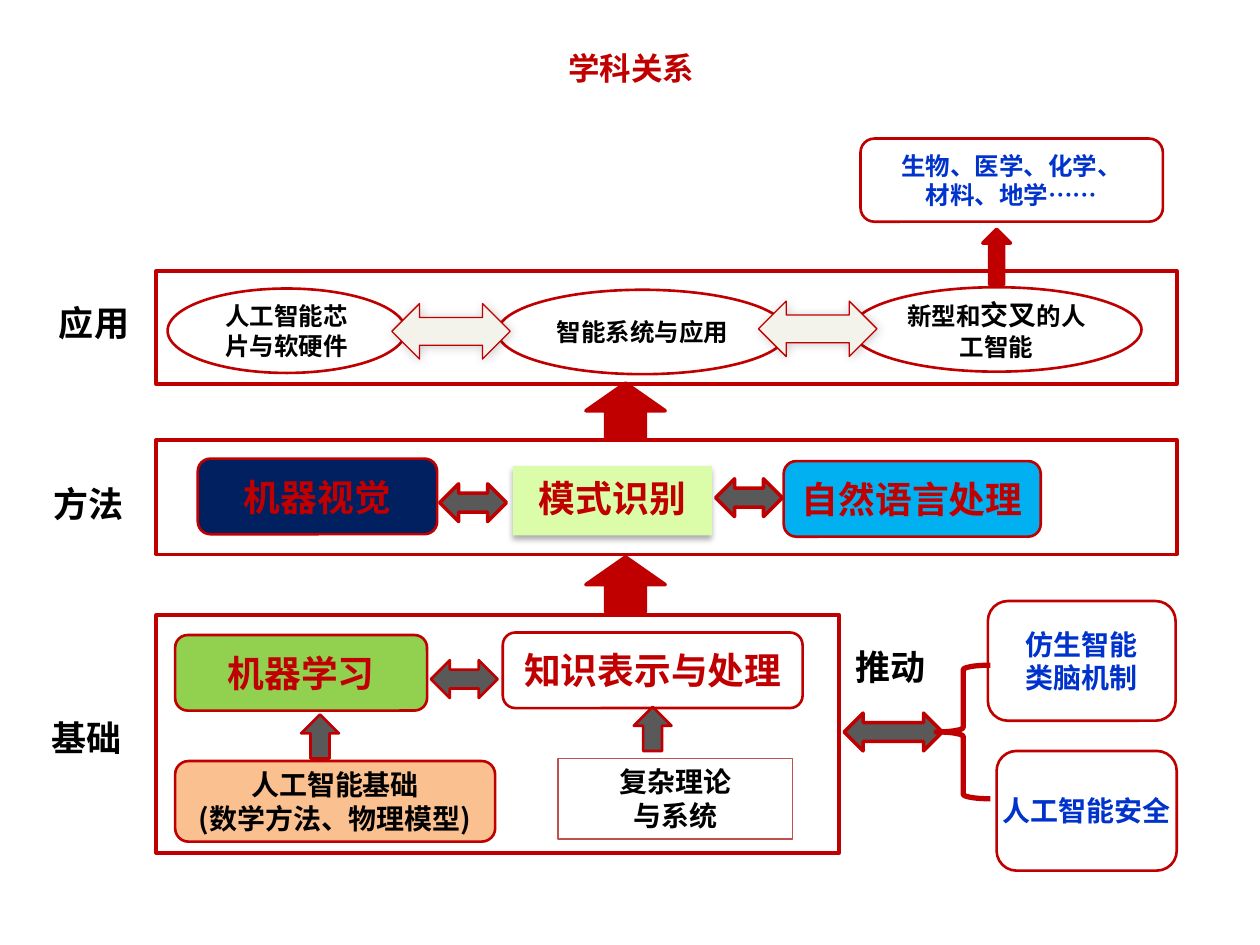
from lxml import etree
from pptx import Presentation
from pptx.dml.color import RGBColor
from pptx.enum.shapes import MSO_SHAPE
from pptx.enum.text import MSO_ANCHOR, MSO_AUTO_SIZE, PP_ALIGN
from pptx.oxml.ns import qn
from pptx.util import Inches, Pt

RECT, ROUND, OVAL = MSO_SHAPE.RECTANGLE, MSO_SHAPE.ROUNDED_RECTANGLE, MSO_SHAPE.OVAL
UP, BOTH, BRACE = MSO_SHAPE.UP_ARROW, MSO_SHAPE.LEFT_RIGHT_ARROW, MSO_SHAPE.LEFT_BRACE
LEFT, CENTER = PP_ALIGN.LEFT, PP_ALIGN.CENTER
TOP, MIDDLE = MSO_ANCHOR.TOP, MSO_ANCHOR.MIDDLE
FIT = MSO_AUTO_SIZE.SHAPE_TO_FIT_TEXT

RED = RGBColor(0xC0, 0x00, 0x00)
SOFT_RED = RGBColor(0xC0, 0x50, 0x4D)
BLACK = RGBColor(0x00, 0x00, 0x00)
BLUE = RGBColor(0x00, 0x33, 0xCC)
NAVY = RGBColor(0x00, 0x20, 0x60)
SKY = RGBColor(0x00, 0xB0, 0xF0)
GREEN = RGBColor(0x92, 0xD0, 0x50)
LIME = RGBColor(0xDB, 0xFD, 0xAA)
ORANGE = RGBColor(0xFA, 0xC0, 0x90)
GRAY = RGBColor(0x59, 0x59, 0x59)
CREAM = RGBColor(0xF4, 0xF3, 0xEB)

SANS, SERIF = "Noto Sans CJK SC", "Times New Roman"
TIGHT = (0.1, 0, 0.1, 0)
DEFAULT_INSETS = (0.1, 0.05, 0.1, 0.05)


def write(sp, text, size=16, color=BLACK, font=SANS, align=CENTER, anchor=MIDDLE,
          insets=DEFAULT_INSETS, wrap=True, spacing=None, large=None):
    """Fill a shape with bold text, one paragraph a line; large is a 16 pt phrase."""
    tf = sp.text_frame
    tf.word_wrap, tf.vertical_anchor = wrap, anchor
    tf.margin_left, tf.margin_top, tf.margin_right, tf.margin_bottom = map(Inches, insets)
    for i, line in enumerate(text.split("\n")):
        p = tf.add_paragraph() if i else tf.paragraphs[0]
        p.alignment = align
        if spacing:
            p.line_spacing = spacing
        for part in (line.partition(large) if large else [line]):
            r = p.add_run()
            r.text = part
            r.font.size = Pt(16 if part == large else size)
            r.font.bold = True
            r.font.color.rgb = color
            r.font.name = font
            etree.SubElement(r._r.get_or_add_rPr(), qn("a:ea"), typeface=SANS)


def add_shadow(sp, alpha, blur, dist, angle):
    effects = sp._element.spPr.find(qn("a:effectLst"))
    shadow = etree.SubElement(effects, qn("a:outerShdw"), blurRad=str(Pt(blur)),
                              dist=str(Pt(dist)), dir=str(angle * 60000), rotWithShape="0")
    color = etree.SubElement(shadow, qn("a:srgbClr"), val="000000")
    etree.SubElement(color, qn("a:alpha"), val=str(alpha * 1000))


def add_shape(s, kind, box, fill=None, line=RED, width=1.5, shadow=None):
    sp = s.shapes.add_shape(kind, *map(Inches, box))
    sp.shadow.inherit = False
    if fill is None:
        sp.fill.background()
    else:
        sp.fill.solid()
        sp.fill.fore_color.rgb = fill
    if line is None:
        sp.line.fill.background()
    else:
        sp.line.color.rgb = line
        sp.line.width = Pt(width)
    if shadow:
        add_shadow(sp, *shadow)
    return sp


def add_box(s, box, text, fill=None, **fmt):
    """Rounded box whose text stays on its own lines."""
    write(add_shape(s, ROUND, box, fill), text, insets=TIGHT, wrap=False, **fmt)


def add_label(s, left, top, text):
    sp = s.shapes.add_textbox(Inches(left), Inches(top), Inches(1), Inches(0.44))
    write(sp, text, size=20, align=LEFT, anchor=TOP)
    sp.text_frame.auto_size = FIT


def add_title(s):
    sp = s.shapes.add_textbox(Inches(0.38), Inches(0.12), Inches(9.26), Inches(0.76))
    write(sp, "学科关系", size=18, color=RED, font=SERIF, spacing=0.9,
          insets=(0.1, 0.16, 0.1, 0.05))


def add_layers(s):
    for box in ((1.24, 2.15, 8.1, 0.9), (1.24, 3.49, 8.1, 0.91), (1.24, 4.88, 5.42, 1.89)):
        add_shape(s, RECT, box, width=2)
    for left, top, text in ((0.37, 2.34, "应用"), (0.33, 3.78, "方法"),
                            (0.31, 5.64, "基础"), (6.69, 5.07, "推动")):
        add_label(s, left, top, text)
    for top in (3.04, 4.42):
        add_shape(s, UP, (4.65, top, 0.63, 0.44), RED, width=2)


def add_applications(s):
    for box, text, large in (((1.33, 2.29, 1.89, 0.67), "人工智能芯片与软硬件", None),
                             ((3.95, 2.3, 2.3, 0.67), "智能系统与应用", None),
                             ((6.76, 2.28, 2.3, 0.67), "新型和交叉的人工智能", "交叉")):
        write(add_shape(s, OVAL, box), text, size=14, large=large)
    for left, top in ((3.11, 2.41), (6.02, 2.39)):
        add_shape(s, BOTH, (left, top, 0.94, 0.44), CREAM, width=0.75,
                  shadow=(20, 6, 1, 45))
    add_shape(s, UP, (7.8, 1.82, 0.22, 0.44), RED, width=2)
    add_box(s, (6.83, 1.1, 2.4, 0.66), "生物、医学、化学、\n材料、地学……",
            size=14, color=BLUE, font=SERIF)


def add_methods(s):
    add_box(s, (1.57, 3.64, 1.9, 0.6), "机器视觉", NAVY, size=21, color=RED)
    add_box(s, (6.22, 3.66, 2.04, 0.6), "自然语言处理", SKY, size=21, color=RED)
    pattern = add_shape(s, RECT, (4.07, 3.7, 1.58, 0.55), LIME, line=None,
                        shadow=(32, 3.5, 2.2, 90))
    write(pattern, "模式识别", size=21, color=RED, font=SERIF, insets=(0, 0, 0, 0),
          spacing=0.9)
    for left, top in ((3.49, 3.84), (5.68, 3.8)):
        add_shape(s, BOTH, (left, top, 0.53, 0.3), GRAY, width=2)


def add_foundations(s):
    add_box(s, (1.39, 6.04, 2.54, 0.64), "人工智能基础\n(数学方法、物理模型)", ORANGE)
    add_box(s, (1.39, 5.04, 2, 0.6), "机器学习", GREEN, size=21, color=RED)
    add_box(s, (3.99, 5.02, 2.38, 0.6), "知识表示与处理", size=21, color=RED)
    add_shape(s, BOTH, (3.42, 5.24, 0.53, 0.3), GRAY)
    for left, top in ((2.39, 5.67), (5.03, 5.61)):
        add_shape(s, UP, (left, top, 0.3, 0.35), GRAY)
    theory = add_shape(s, RECT, (4.43, 6.02, 1.86, 0.64), line=SOFT_RED, width=0.75)
    write(theory, "复杂理论\n与系统", anchor=TOP)
    theory.text_frame.auto_size = FIT


def add_drivers(s):
    add_box(s, (7.84, 4.77, 1.49, 0.95), "仿生智能\n类脑机制", color=BLUE, font=SERIF)
    add_box(s, (7.91, 5.96, 1.43, 0.95), "人工智能安全", color=BLUE, font=SERIF)
    add_shape(s, BOTH, (6.7, 5.66, 0.78, 0.3), GRAY, width=2)
    add_shape(s, BRACE, (7.43, 5.28, 0.43, 1.06), width=3)


def main():
    prs = Presentation()
    prs.slide_width, prs.slide_height = Inches(10), Inches(7.5)
    s = prs.slides.add_slide(prs.slide_layouts[6])
    add_title(s)
    add_layers(s)
    add_applications(s)
    add_methods(s)
    add_foundations(s)
    add_drivers(s)
    prs.save("out.pptx")


if __name__ == "__main__":
    main()
